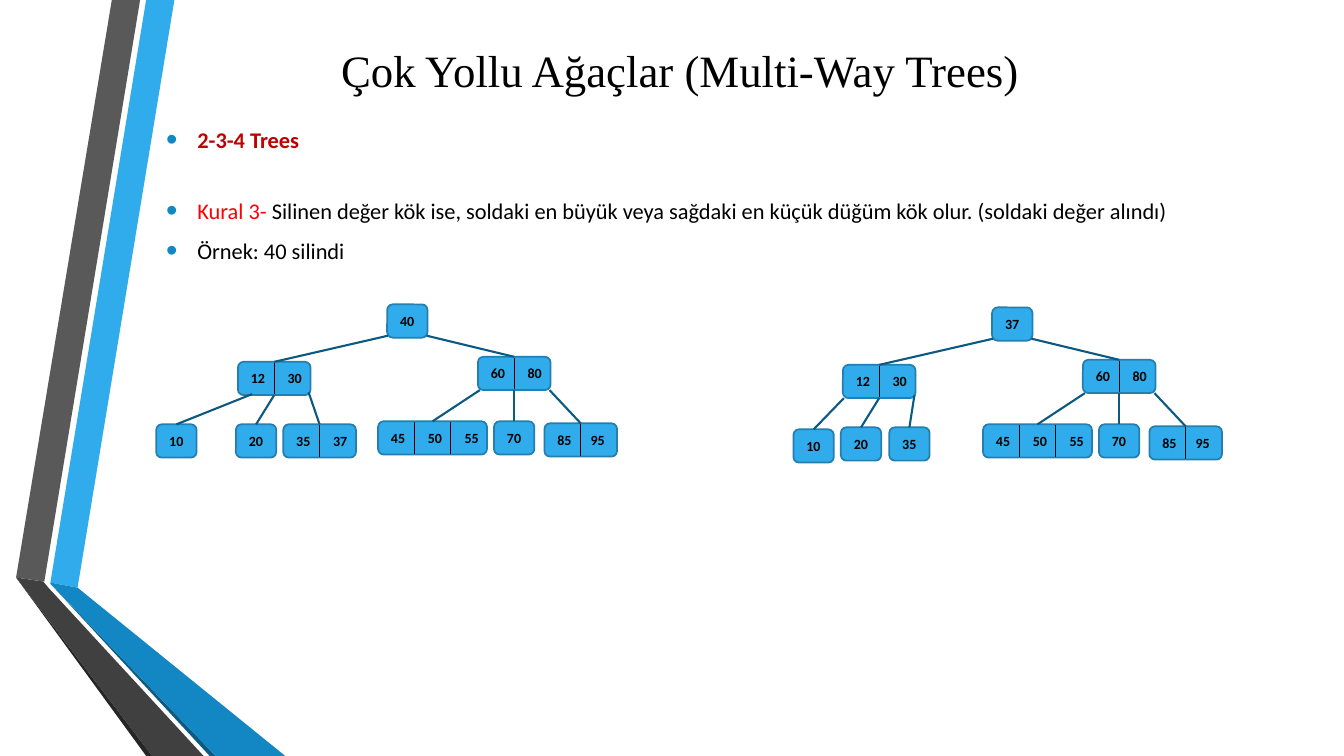
"""Builds a slide on deleting the root key of a 2-3-4 tree."""
import pptx
import pptx.dml.color
import pptx.enum.shapes
import pptx.enum.text
import pptx.oxml.ns
import pptx.util
from lxml import etree

Inches = pptx.util.Inches
Pt = pptx.util.Pt
qn = pptx.oxml.ns.qn


def color(value):
    return pptx.dml.color.RGBColor.from_string(value)


class TreeSlide:
    font = "Calibri"
    black = "000000"
    node_fill = "30ACEC"
    node_line = "247FAF"
    edge_line = "0C5A82"
    bullet_color = "1287C3"
    cell_width = 0.36
    node_height = 0.33

    def __init__(self, deck):
        self.slide = deck.slides.add_slide(deck.slide_layouts[6])
        self.shapes = self.slide.shapes

    def band(self, points, fill):
        corners = [(Inches(x), Inches(y)) for x, y in points]
        builder = self.shapes.build_freeform(*corners[0])
        builder.add_line_segments(corners[1:], close=True)
        band = builder.convert_to_shape()
        band.shadow.inherit = False
        band.fill.solid()
        band.fill.fore_color.rgb = color(fill)
        band.line.fill.background()

    def text_frame(self, left, top, width, height):
        box = self.shapes.add_textbox(
            Inches(left), Inches(top), Inches(width), Inches(height))
        box.text_frame.word_wrap = True
        return box.text_frame

    def set_font(self, font, size, name=None, fill=None, bold=False):
        font.name = name or self.font
        font.size = Pt(size)
        font.bold = bold
        if fill:
            font.color.rgb = color(fill)

    def title(self, text):
        frame = self.text_frame(1.55, 0.17, 10.39, 1.04)
        frame.vertical_anchor = pptx.enum.text.MSO_ANCHOR.MIDDLE
        heading = frame.paragraphs[0]
        heading.text = text
        heading.alignment = pptx.enum.text.PP_ALIGN.CENTER
        self.set_font(heading.font, 32, "Times New Roman", self.black)

    def bullet(self, paragraph):
        properties = paragraph._p.get_or_add_pPr()
        properties.set("marL", str(Inches(0.31)))
        properties.set("indent", str(Inches(-0.31)))
        tint = etree.SubElement(properties, qn("a:buClr"))
        etree.SubElement(tint, qn("a:srgbClr"), val=self.bullet_color)
        etree.SubElement(properties, qn("a:buSzPct"), val="145000")
        etree.SubElement(properties, qn("a:buFont"), typeface="Arial")
        etree.SubElement(properties, qn("a:buChar"), char="•")

    def body(self, rules):
        frame = self.text_frame(1.55, 1.07, 10.39, 1.92)
        for index, (runs, spacing, before, after, bold) in enumerate(rules):
            rule = frame.add_paragraph() if index else frame.paragraphs[0]
            rule.line_spacing = spacing
            rule.space_before = Pt(before)
            rule.space_after = Pt(after)
            self.bullet(rule)
            self.set_font(rule.font, 16, bold=bold)
            for text, fill in runs:
                run = rule.add_run()
                run.text = text
                run.font.color.rgb = color(fill)

    def line(self, start, end, fill, weight):
        line = self.shapes.add_connector(
            pptx.enum.shapes.MSO_CONNECTOR.STRAIGHT,
            *(Inches(value) for value in (*start, *end)))
        line.line.color.rgb = color(fill)
        line.line.width = Pt(weight)
        etree.SubElement(line._element.spPr, qn("a:effectLst"))
        return line

    def node(self, left, top, keys, key_gap=0.365):
        width = max(0.4, self.cell_width * len(keys))
        node = self.shapes.add_shape(
            pptx.enum.shapes.MSO_SHAPE.ROUNDED_RECTANGLE,
            Inches(left), Inches(top), Inches(width), Inches(self.node_height))
        node.shadow.inherit = False
        node.fill.solid()
        node.fill.fore_color.rgb = color(self.node_fill)
        node.line.color.rgb = color(self.node_line)
        node.line.width = Pt(1.25)
        for index, key in enumerate(keys):
            if index:
                x = left + self.cell_width * index
                self.line((x, top + 0.01), (x, top + 0.32), self.black, 0.75)
            frame = self.text_frame(
                left + 0.03 + key_gap * index, top + 0.03, 0.36, 0.27)
            label = frame.paragraphs[0]
            label.text = str(key)
            self.set_font(label.font, 10, fill=self.black, bold=True)
        return node

    def edge(self, parent, child, start=None):
        edge = self.line(start or (0, 0), (0, 0), self.edge_line, 1.5)
        if start is None:
            edge.begin_connect(parent, 2)
        edge.end_connect(child, 0)

    def tree(self, dx, dy, root_key, ten_at, ten_start, last_leaf, last_start):
        def node(left, top, *keys, **options):
            return self.node(left + dx, top + dy, keys, **options)

        def edge(parent, child, start=None):
            self.edge(parent, child, start and (start[0] + dx, start[1] + dy))

        root = node(3.84, 3.02, root_key)
        low = node(2.36, 3.59, 12, 30)
        high = node(4.74, 3.54, 60, 80)
        edge(root, low, (3.85, 3.33))
        edge(root, high, (4.23, 3.33))
        edge(low, node(*ten_at, 10), ten_start)
        edge(low, node(2.34, 4.21, 20))
        edge(low, node(*last_leaf), last_start)
        edge(high, node(3.75, 4.18, 45, 50, 55), (4.76, 3.87))
        edge(high, node(4.9, 4.18, 70))
        edge(high, node(5.4, 4.2, 85, 95, key_gap=0.33), (5.45, 3.87))


def main():
    deck = pptx.Presentation()
    deck.slide_width, deck.slide_height = Inches(13.33), Inches(7.5)
    page = TreeSlide(deck)
    bands = [
        ([(0.5, 5.78), (0.77, 5.83), (1.73, 0), (1.45, 0)], "30ACEC"),
        ([(1.39, 0), (1.11, 0), (0.16, 5.73), (0.44, 5.77)], "595959"),
        ([(0.16, 5.73), (1.45, 7.5), (1.51, 7.5)], "262626"),
        ([(0.5, 5.79), (2.08, 7.5), (2.14, 7.5)], "0C5A82"),
        ([(0.5, 5.78), (0.5, 5.79), (2.14, 7.5), (2.83, 7.5), (0.77, 5.83)],
         "1287C3"),
        ([(2.02, 7.5), (0.48, 5.83), (0.43, 5.77), (0.16, 5.73), (1.51, 7.5)],
         "404040"),
    ]
    for points, fill in bands:
        page.band(points, fill)
    page.title("Çok Yollu Ağaçlar (Multi-Way Trees)")
    page.body([
        ([("2-3-4 Trees", "C00000")], 1.5, 0, 0, True),
        ([("Kural 3- ", "FF0000"),
          ("Silinen değer kök ise, soldaki en büyük veya sağdaki en küçük "
           "düğüm kök olur. (soldaki değer alındı)", "000000")],
         1.0, 31.5, 6, False),
        ([("Örnek: 40 silindi", "000000")], 1.0, 3, 6, False),
    ])
    page.tree(0, 0, 40, (1.55, 4.21), (2.5, 3.91),
              (2.81, 4.21, 35, 37), (3.06, 3.89))
    page.tree(6, 0.03, 37, (1.87, 4.23), (2.37, 3.92),
              (2.82, 4.21, 35), (3.07, 3.89))
    deck.save("out.pptx")


if __name__ == "__main__":
    main()
